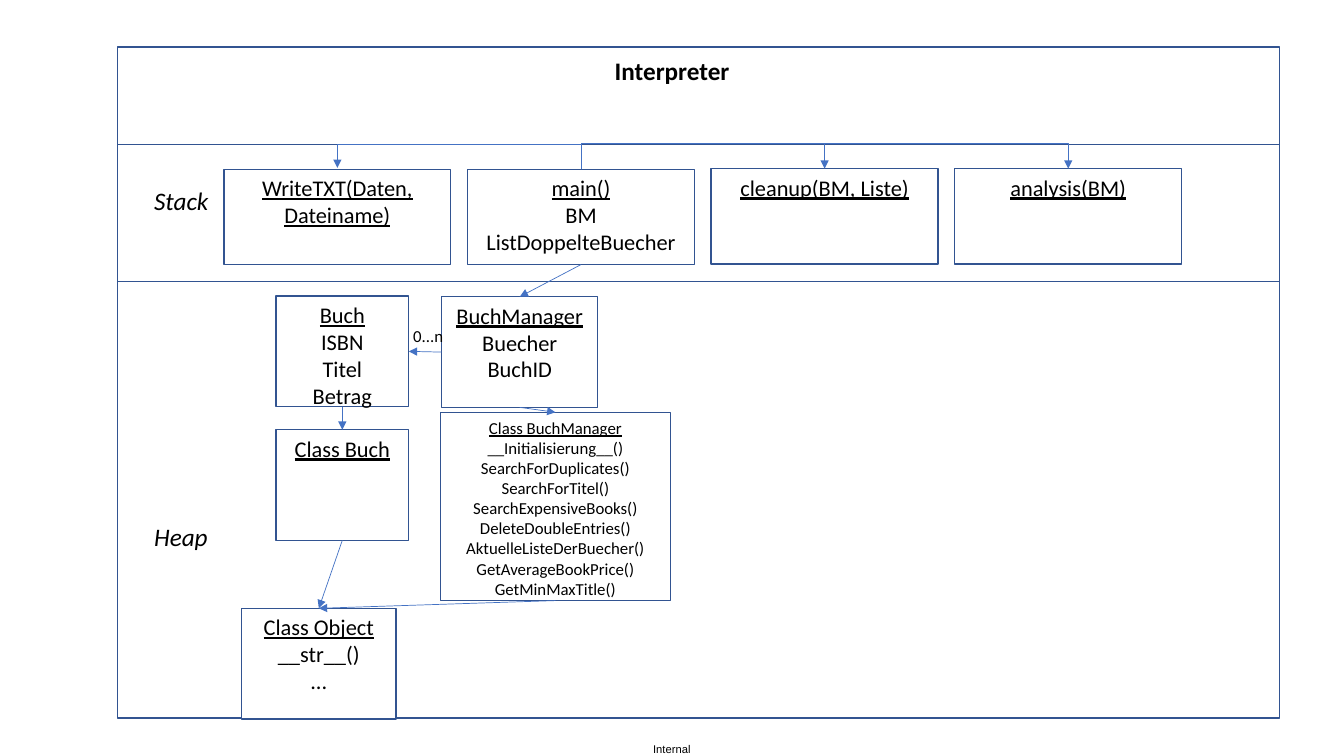
from pptx import Presentation
from pptx.dml.color import RGBColor
from pptx.enum.shapes import MSO_CONNECTOR, MSO_SHAPE
from pptx.enum.text import MSO_ANCHOR, PP_ALIGN
from pptx.oxml.ns import qn
from pptx.util import Pt
from lxml import etree

BLACK = RGBColor(0x00, 0x00, 0x00)
WHITE = RGBColor(0xFF, 0xFF, 0xFF)
BORDER = RGBColor(0x32, 0x54, 0x91)
ARROW = RGBColor(0x44, 0x72, 0xC4)
TOP, LEFT, BOTTOM, RIGHT = range(4)


def style_run(run, size, font="Calibri"):
    """Give a run its font, size and colour."""
    run.font.name = font
    run.font.size = Pt(size)
    run.font.color.rgb = BLACK


def add_rect(slide, left, top, width, height, fill=None):
    """Add an outlined rectangle, filled only when a colour is given."""
    rect = slide.shapes.add_shape(
        MSO_SHAPE.RECTANGLE, Pt(left), Pt(top), Pt(width), Pt(height))
    rect.shadow.inherit = False
    rect.line.color.rgb = BORDER
    rect.line.width = Pt(1)
    if fill is None:
        rect.fill.background()
    else:
        rect.fill.solid()
        rect.fill.fore_color.rgb = fill
    return rect


def add_object(slide, left, top, width, height, lines, size=16):
    """Add a white box whose first line is an underlined heading."""
    box = add_rect(slide, left, top, width, height, WHITE)
    frame = box.text_frame
    frame.word_wrap = True
    frame.vertical_anchor = MSO_ANCHOR.TOP
    for index, line in enumerate(lines):
        paragraph = frame.add_paragraph() if index else frame.paragraphs[0]
        paragraph.alignment = PP_ALIGN.CENTER
        run = paragraph.add_run()
        run.text = line
        style_run(run, size)
        run.font.underline = index == 0
    return box


def add_label(slide, left, top, width, height, text, size=18, font="Calibri"):
    """Add a one-line text box and return it with its run."""
    label = slide.shapes.add_textbox(Pt(left), Pt(top), Pt(width), Pt(height))
    label.text_frame.word_wrap = False
    run = label.text_frame.paragraphs[0].add_run()
    run.text = text
    style_run(run, size, font)
    return label, run


def style_arrow(connector):
    """Give a connector its colour, width and arrowhead, without a shadow."""
    connector.line.color.rgb = ARROW
    connector.line.width = Pt(0.5)
    etree.SubElement(connector.line._get_or_add_ln(), qn("a:tailEnd"), type="triangle")
    etree.SubElement(connector._element.spPr, qn("a:effectLst"))


def connect(slide, source, source_side, target, target_side):
    """Join two boxes with a straight arrow."""
    connector = slide.shapes.add_connector(MSO_CONNECTOR.STRAIGHT, 0, 0, 0, 0)
    connector.begin_connect(source, source_side)
    connector.end_connect(target, target_side)
    style_arrow(connector)


def connect_over(slide, source, target, rise, climb):
    """Lead an elbow arrow from the top of one box over to the top of another."""
    start = source.left + source.width // 2
    end = target.left + target.width // 2
    span, width = abs(end - start), Pt(rise)
    left = (start + end - width) // 2
    top = source.top - (width + span) // 2
    connector = slide.shapes.add_connector(
        MSO_CONNECTOR.ELBOW, left, top, left + width, top + span)
    to_right = end > start
    xfrm = connector._element.spPr.find(qn("a:xfrm"))
    xfrm.set("rot", str((90 if to_right else 270) * 60000))
    xfrm.set("flipV", "1")
    if to_right:
        xfrm.set("flipH", "1")
    guides = connector._element.spPr.find(qn("a:prstGeom")).get_or_add_avLst()
    etree.SubElement(guides, qn("a:gd"), name="adj1",
                     fmla=f"val {round(climb / rise * 100000)}")
    style_arrow(connector)


def build_interpreter(slide, left, top, width, height):
    """Draw the outer frame with its title."""
    add_rect(slide, left, top, width, height)
    _, run = add_label(slide, left + 348, top + 2.5, 97, 29, "Interpreter")
    run.font.bold = True


def build_stack(slide, left, top, width, height):
    """Draw the stack band with its function frames and return main()."""
    add_rect(slide, left, top, width, height)
    _, run = add_label(slide, left + 19, top + 26, 53, 29, "Stack")
    run.font.italic = True
    functions = [
        (18, ["WriteTXT(Daten, Dateiname)"]),
        (18, ["main()", "BM", "ListDoppelteBuecher"]),
        (17.5, ["cleanup(BM, Liste)"]),
        (17.5, ["analysis(BM)"]),
    ]
    write, main, cleanup, analysis = [
        add_object(slide, left + 76 + 174 * column, top + offset, 162, 68, lines)
        for column, (offset, lines) in enumerate(functions)]
    connect_over(slide, main, write, 1, 18)
    for target in (cleanup, analysis):
        connect_over(slide, main, target, 0.5, 18.5)
    return main


def build_heap(slide, left, top, main):
    """Draw the objects and classes of the heap and link them to main()."""
    _, run = add_label(slide, left + 19, top + 168, 53, 29, "Heap")
    run.font.italic = True
    book = add_object(slide, left + 113, top + 10.5, 95, 79,
                      ["Buch", "ISBN", "Titel", "Betrag"])
    base_class = add_object(slide, left + 88.5, top + 233.5, 110.5, 79,
                            ["Class Object", "__str__()", "..."])
    manager = add_object(slide, left + 231.5, top + 11, 111.5, 79,
                         ["BuchManager", "Buecher", "BuchID"])
    manager_class = add_object(
        slide, left + 230.5, top + 93.5, 164.5, 134.5,
        ["Class BuchManager", "__Initialisierung__()", "SearchForDuplicates()",
         "SearchForTitel()", "SearchExpensiveBooks()", "DeleteDoubleEntries()",
         "AktuelleListeDerBuecher()", "GetAverageBookPrice()", "GetMinMaxTitle()"],
        size=12)
    book_class = add_object(slide, left + 113, top + 106, 95, 79, ["Class Buch"])
    for source, target in [(main, manager), (manager, manager_class),
                           (manager_class, base_class), (book, book_class),
                           (book_class, base_class)]:
        connect(slide, source, BOTTOM, target, TOP)
    connect(slide, manager, LEFT, book, RIGHT)
    add_label(slide, left + 204, top + 28.5, 36, 22, "0...n", 12)


def build_footer(slide, left, top, width, height):
    """Write the classification at the foot of the slide."""
    label, _ = add_label(slide, left, top, width, height, "Internal", 8, "Arial")
    frame = label.text_frame
    frame.margin_left = frame.margin_right = frame.margin_top = frame.margin_bottom = 0


def main():
    """Build and save the slide."""
    presentation = Presentation()
    presentation.slide_width = Pt(960)
    presentation.slide_height = Pt(540)
    slide = presentation.slides.add_slide(presentation.slide_layouts[6])
    build_footer(slide, 466.5, 530.5, 29, 9.5)
    build_interpreter(slide, 84, 33.5, 830, 479.5)
    main_frame = build_stack(slide, 84, 103, 830, 98)
    build_heap(slide, 84, 201, main_frame)
    presentation.save("out.pptx")


main()
